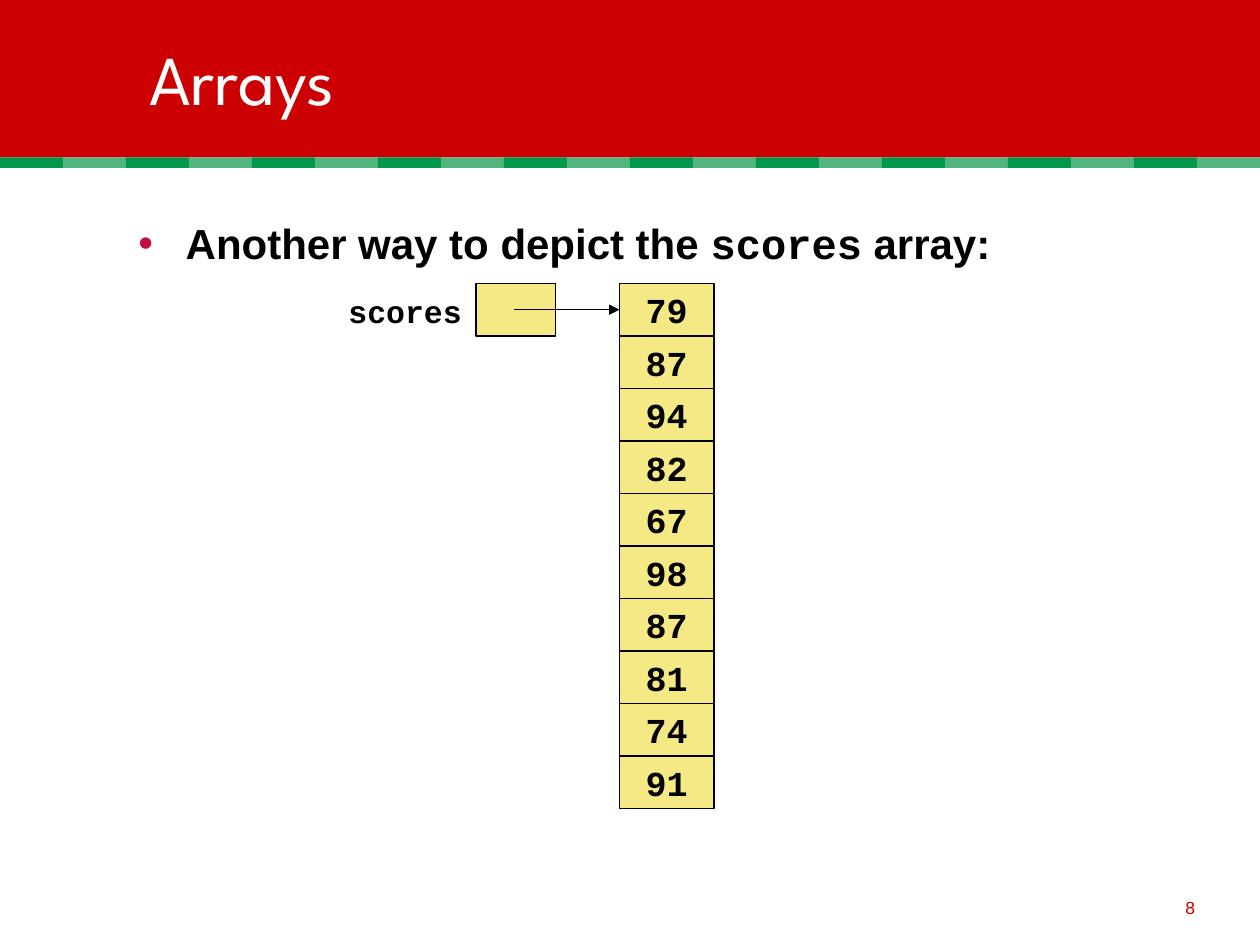
from dataclasses import dataclass
from lxml.etree import SubElement
from pptx import Presentation
from pptx.dml.color import RGBColor as RGB
from pptx.enum.shapes import MSO_CONNECTOR as Conn, MSO_SHAPE as Shape
from pptx.enum.text import MSO_ANCHOR as Anchor, PP_ALIGN as Align
from pptx.oxml.ns import qn
from pptx.util import Pt

TITLE = "Arrays"
NAME = "scores"
BULLET = [("Another way to depict the ", False), (NAME, True), (" array:", False)]
SCORES = [79, 87, 94, 82, 67, 98, 87, 81, 74, 91]
PAGE = "8"


@dataclass(frozen=True)
class Theme:
    red: str = "CC0000"
    greens: tuple = ("00984A", "52B47E")
    cell: str = "F5E985"
    dot: str = "C40C42"
    ink: str = "000000"
    white: str = "FFFFFF"
    head: str = "League Spartan"
    sans: str = "Arial"
    mono: str = "Courier New"
    title: int = 40
    body: int = 24
    value: int = 20
    label: int = 18
    page: int = 10
    line: float = 0.75


T = Theme()
WIDE, HIGH = 720, 540
BAND, STRIPE, TILES = 90, 6, 20
TOP, ROW = 162, 30          # first array cell and row height
REF_X, REF_W = 272, 45.5    # box that holds the reference
COL_X, COL_W = 354, 54      # column of values


def style(font, face, size, color, bold=False):
    font.name, font.size, font.bold = face, Pt(size), bold
    font.color.rgb = RGB.from_string(color)


def block(x, y, w, h, fill, edge=None):
    box = slide.shapes.add_shape(Shape.RECTANGLE, Pt(x), Pt(y), Pt(w), Pt(h))
    box.shadow.inherit = False
    box.fill.solid()
    box.fill.fore_color.rgb = RGB.from_string(fill)
    if edge:
        box.line.color.rgb = RGB.from_string(edge)
        box.line.width = Pt(T.line)
    else:
        box.line.fill.background()
    return box


def label(x, y, w, h, text, wrap=True):
    """Add a text box and return its frame and first paragraph."""
    frame = slide.shapes.add_textbox(Pt(x), Pt(y), Pt(w), Pt(h)).text_frame
    frame.word_wrap = wrap
    para = frame.paragraphs[0]
    para.text = text
    return frame, para


def add_dot(para, indent):
    props = para._p.get_or_add_pPr()
    props.set("marL", str(Pt(indent)))
    props.set("indent", str(-Pt(indent)))
    color = SubElement(props, qn("a:buClr"))
    SubElement(color, qn("a:srgbClr"), val=T.dot)
    SubElement(props, qn("a:buFont"), typeface=T.sans)
    SubElement(props, qn("a:buChar"), char="•")


def arrow(x, y, end):
    line = slide.shapes.add_connector(Conn.STRAIGHT, Pt(x), Pt(y), Pt(end), Pt(y))
    line.line.color.rgb = RGB.from_string(T.ink)
    line.line.width = Pt(T.line)
    SubElement(line.line._get_or_add_ln(), qn("a:tailEnd"), type="triangle")
    SubElement(line._element.spPr, qn("a:effectLst"))


deck = Presentation()
deck.slide_width, deck.slide_height = Pt(WIDE), Pt(HIGH)
slide = deck.slides.add_slide(deck.slide_layouts[5])

# Header
block(0, 0, WIDE, BAND, T.red)
tile = WIDE / TILES
for i in range(TILES):
    block(i * tile, BAND, tile, STRIPE, T.greens[i % 2])

title = slide.shapes.title
title.left, title.top, title.width, title.height = Pt(78), Pt(17), Pt(624), Pt(54)
title.text = TITLE
title.text_frame.vertical_anchor = Anchor.MIDDLE
para = title.text_frame.paragraphs[0]
para.alignment = Align.LEFT
style(para.font, T.head, T.title, T.white)
slide.shapes._spTree.append(title._element)  # bring in front of the band

# Bullet
_, para = label(72, 121, 624, 54, "")
add_dot(para, 27)
style(para.font, T.sans, T.body, T.ink, True)
for text, code in BULLET:
    run = para.add_run()
    run.text = text
    style(run.font, T.mono if code else T.sans, T.body, T.ink, True)

# Reference to the array
block(REF_X, TOP, REF_W, ROW, T.cell, T.ink)
_, para = label(192, 163.5, 79, 29, NAME, wrap=False)
style(para.font, T.mono, T.label, T.ink, True)
arrow(294, TOP + ROW / 2, COL_X)

# Array cells
for i, score in enumerate(SCORES):
    cell = block(COL_X, TOP + i * ROW, COL_W, ROW, T.cell, T.ink)
    cell.text_frame.word_wrap = False
    cell.text_frame.vertical_anchor = Anchor.MIDDLE
    para = cell.text_frame.paragraphs[0]
    para.text = str(score)
    para.alignment = Align.CENTER
    style(para.font, T.mono, T.value, T.ink, True)

# Page number
frame, para = label(540, 498, 150, 30, PAGE)
frame.vertical_anchor = Anchor.BOTTOM
para.alignment = Align.RIGHT
style(para.font, T.sans, T.page, T.red)

deck.save("out.pptx")
